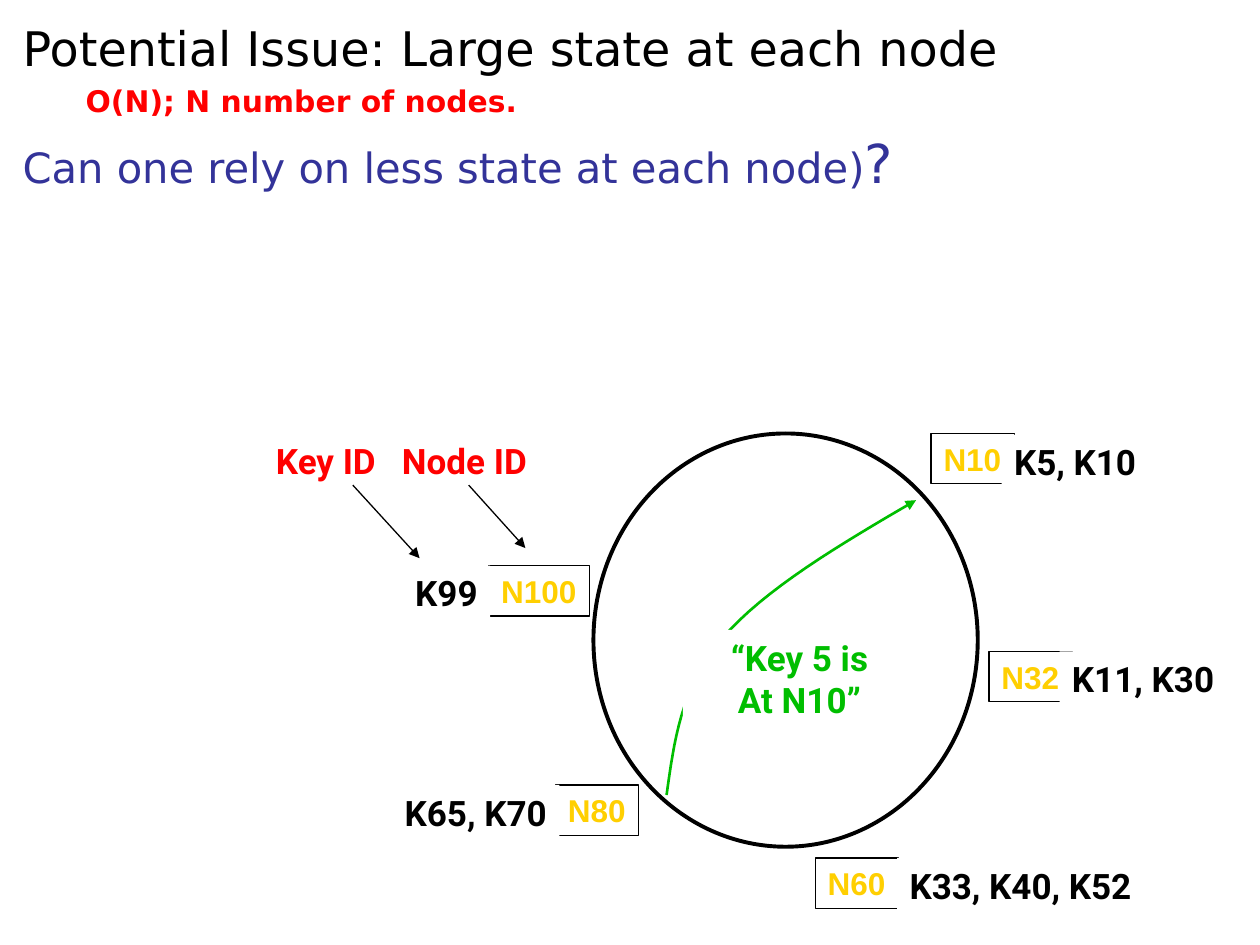
from lxml.etree import SubElement
from pptx import Presentation
from pptx.dml.color import RGBColor
from pptx.enum.shapes import MSO_CONNECTOR as CONNECTOR, MSO_SHAPE as SHAPE
from pptx.enum.text import MSO_ANCHOR as ANCHOR, MSO_AUTO_SIZE as AUTO_SIZE, PP_ALIGN as ALIGN
from pptx.oxml.ns import qn
from pptx.util import Inches, Pt

COLORS = {
    "white": "FFFFFF",
    "black": "000000",
    "red": "FF0000",
    "blue": "333399",
    "gold": "FFCF01",
    "green": "00BE00",
}
HEADING_FONT, NODE_FONT, KEY_FONT = "DejaVu Sans", "Arial", "Roboto"

# Node name, left, top, width
NODES = [
    ("N32", 7.85, 5.17, 0.66),
    ("N10", 7.39, 3.44, 0.66),
    ("N100", 3.88, 4.49, 0.8),
    ("N80", 4.41, 6.23, 0.66),
    ("N60", 6.47, 6.81, 0.66),
]
# Keys held by a node, left, top, width, alignment
KEYS = [
    ("K33, K40, K52", 7.12, 6.81, 2.01, ALIGN.LEFT),
    ("K11, K30", 8.41, 5.17, 1.36, ALIGN.LEFT),
    ("K5, K10", 7.95, 3.45, 1.2, ALIGN.LEFT),
    ("K65, K70", 3.08, 6.23, 1.36, ALIGN.RIGHT),
    ("K99", 3.19, 4.49, 0.7, ALIGN.RIGHT),
]
ID_ARROWS = [((2.8, 3.85), (3.33, 4.43)), ((3.72, 3.85), (4.17, 4.35))]
# Lookup route from N80 to N10: two Bezier pieces
ROUTE = [
    ((5.29, 6.31), (5.35, 5.89), (5.4, 5.46), (5.73, 5.07)),
    ((5.73, 5.07), (6.06, 4.68), (6.67, 4.32), (7.27, 3.97)),
]


def rgb(name):
    return RGBColor.from_string(COLORS[name])


def add_run(paragraph, text, size, font, color, bold=False):
    run = paragraph.add_run()
    run.text = text
    run.font.size = Pt(size)
    run.font.name = font
    run.font.bold = bold
    run.font.color.rgb = rgb(color)


def add_tab_stop(paragraph, position):
    stops = SubElement(paragraph._p.get_or_add_pPr(), qn("a:tabLst"))
    SubElement(stops, qn("a:tab"), pos=str(Inches(position)), algn="l")


def set_line(shape, color, width):
    shape.line.color.rgb = rgb(color)
    shape.line.width = Pt(width)


def add_arrowhead(shape):
    SubElement(shape.line._get_or_add_ln(), qn("a:tailEnd"), type="triangle")


def add_label(slide, lines, left, top, width, height, size, font, color,
              align=ALIGN.LEFT, wrap=False):
    label = slide.shapes.add_textbox(Inches(left), Inches(top), Inches(width), Inches(height))
    label.fill.solid()
    label.fill.fore_color.rgb = rgb("white")
    frame = label.text_frame
    frame.word_wrap = wrap
    frame.auto_size = AUTO_SIZE.SHAPE_TO_FIT_TEXT
    for index, text in enumerate(lines):
        paragraph = frame.add_paragraph() if index else frame.paragraphs[0]
        paragraph.alignment = align
        add_run(paragraph, text, size, font, color, bold=True)
    return label


def add_arrow(slide, start, end):
    arrow = slide.shapes.add_connector(
        CONNECTOR.STRAIGHT, *(Inches(value) for value in start + end))
    set_line(arrow, "black", 0.75)
    add_arrowhead(arrow)
    SubElement(arrow._element.spPr, qn("a:effectLst"))


def bezier_point(curve, t):
    weights = ((1 - t) ** 3, 3 * t * (1 - t) ** 2, 3 * t ** 2 * (1 - t), t ** 3)
    return tuple(Inches(sum(w * point[axis] for w, point in zip(weights, curve)))
                 for axis in (0, 1))


def add_route(slide, curves, steps=16):
    start = bezier_point(curves[0], 0)
    points = [bezier_point(curve, step / steps)
              for curve in curves for step in range(1, steps + 1)]
    builder = slide.shapes.build_freeform(*start)
    builder.add_line_segments(points, close=False)
    route = builder.convert_to_shape()
    route.shadow.inherit = False
    route.fill.background()
    set_line(route, "green", 1.5)
    add_arrowhead(route)


def add_ring(slide):
    ring = slide.shapes.add_shape(
        SHAPE.OVAL, Inches(4.71), Inches(3.44), Inches(3.05), Inches(3.28))
    ring.shadow.inherit = False
    ring.fill.solid()
    ring.fill.fore_color.rgb = rgb("white")
    set_line(ring, "black", 2.25)


def fill_body(body):
    body.left, body.top = Inches(0.08), Inches(0.15)
    body.width, body.height = Inches(9.88), Inches(1.6)
    frame = body.text_frame
    frame.auto_size = AUTO_SIZE.NONE
    frame.vertical_anchor = ANCHOR.TOP
    issue, question = frame.paragraphs[0], frame.add_paragraph()
    for paragraph, space in ((issue, 0), (question, 9)):
        properties = paragraph._p.get_or_add_pPr()
        properties.set("marL", "0")
        properties.set("indent", "0")
        SubElement(properties, qn("a:buNone"))
        paragraph.line_spacing = 0.9
        paragraph.space_before = Pt(space)

    add_tab_stop(issue, 1.21)
    add_run(issue, "Potential Issue: Large state at each node", 27.2, HEADING_FONT, "black")
    issue.add_line_break()
    add_run(issue, "\t", 23.8, HEADING_FONT, "black")
    add_run(issue, "O(N); N number of nodes.", 17, HEADING_FONT, "red", bold=True)
    add_run(question, "Can one rely on less state at each node)", 23.8, HEADING_FONT, "blue")
    add_run(question, "?", 30.6, HEADING_FONT, "blue")


def main():
    deck = Presentation()
    deck.slide_width, deck.slide_height = Inches(10), Inches(7.5)
    slide = deck.slides.add_slide(deck.slide_layouts[1])

    # Heading text, all held by the body placeholder
    title = slide.shapes.title
    title._element.getparent().remove(title._element)
    fill_body(slide.placeholders[1])

    # Ring with its nodes and their keys
    add_ring(slide)
    for name, left, top, width in NODES:
        node = add_label(slide, [name], left, top, width, 0.4, 18, NODE_FONT, "gold")
        set_line(node, "black", 0.75)
    for keys, left, top, width, align in KEYS:
        add_label(slide, [keys], left, top, width, 0.44, 20, KEY_FONT, "black", align)

    # Legend for the two kinds of ID
    legend = add_label(slide, ["Key ID\tNode ID"], 1.97, 3.44, 2.44, 0.44, 20, KEY_FONT,
                       "red", wrap=True)
    legend.text_frame.margin_left = Inches(0.22)
    add_tab_stop(legend.text_frame.paragraphs[0], 1)
    for start, end in ID_ARROWS:
        add_arrow(slide, start, end)

    # Lookup route and its answer
    add_route(slide, ROUTE)
    add_label(slide, ["“Key 5 is", "At N10”"], 5.42, 5, 1.85, 0.77, 20, KEY_FONT,
              "green", ALIGN.CENTER, wrap=True)

    deck.save("out.pptx")


if __name__ == "__main__":
    main()
